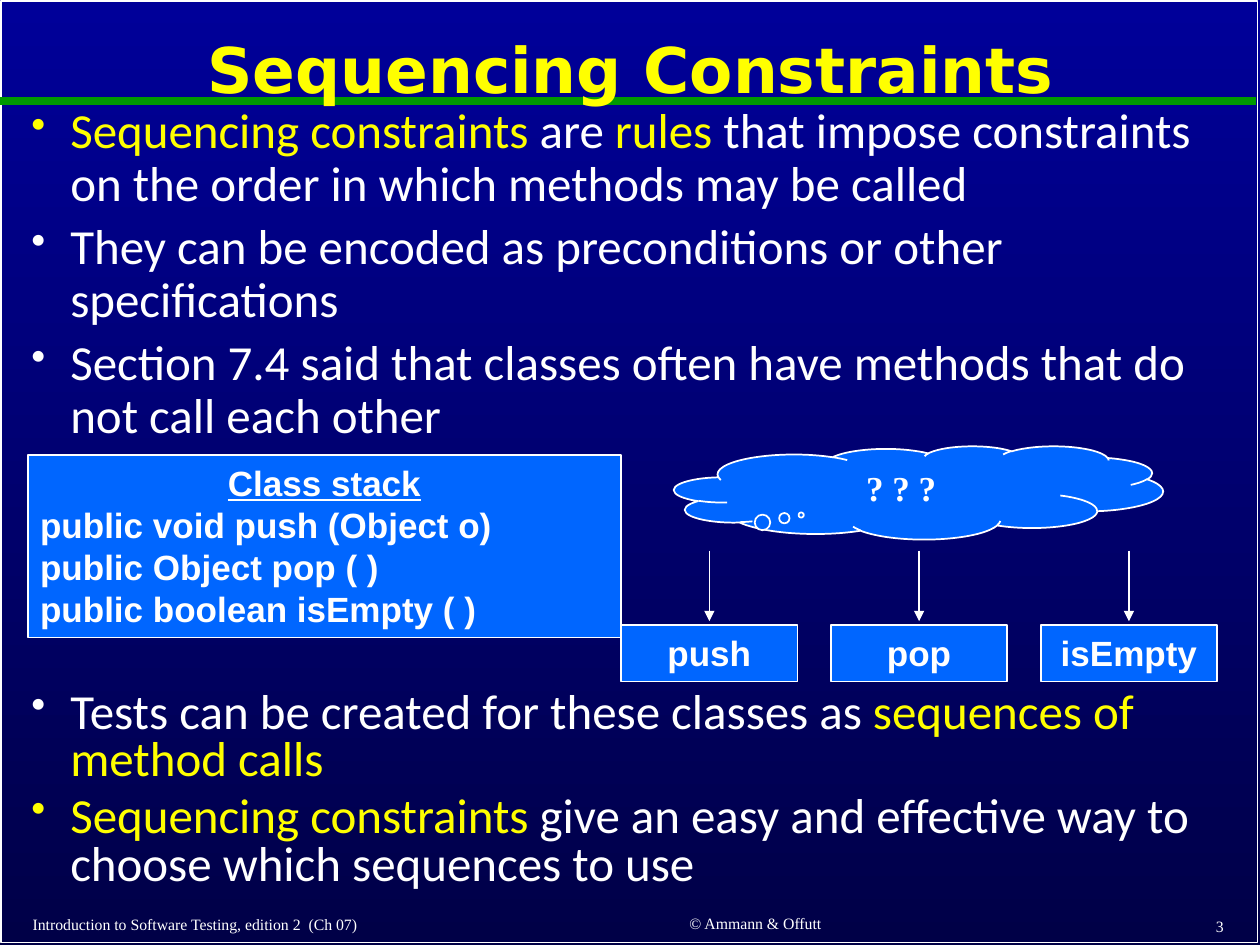
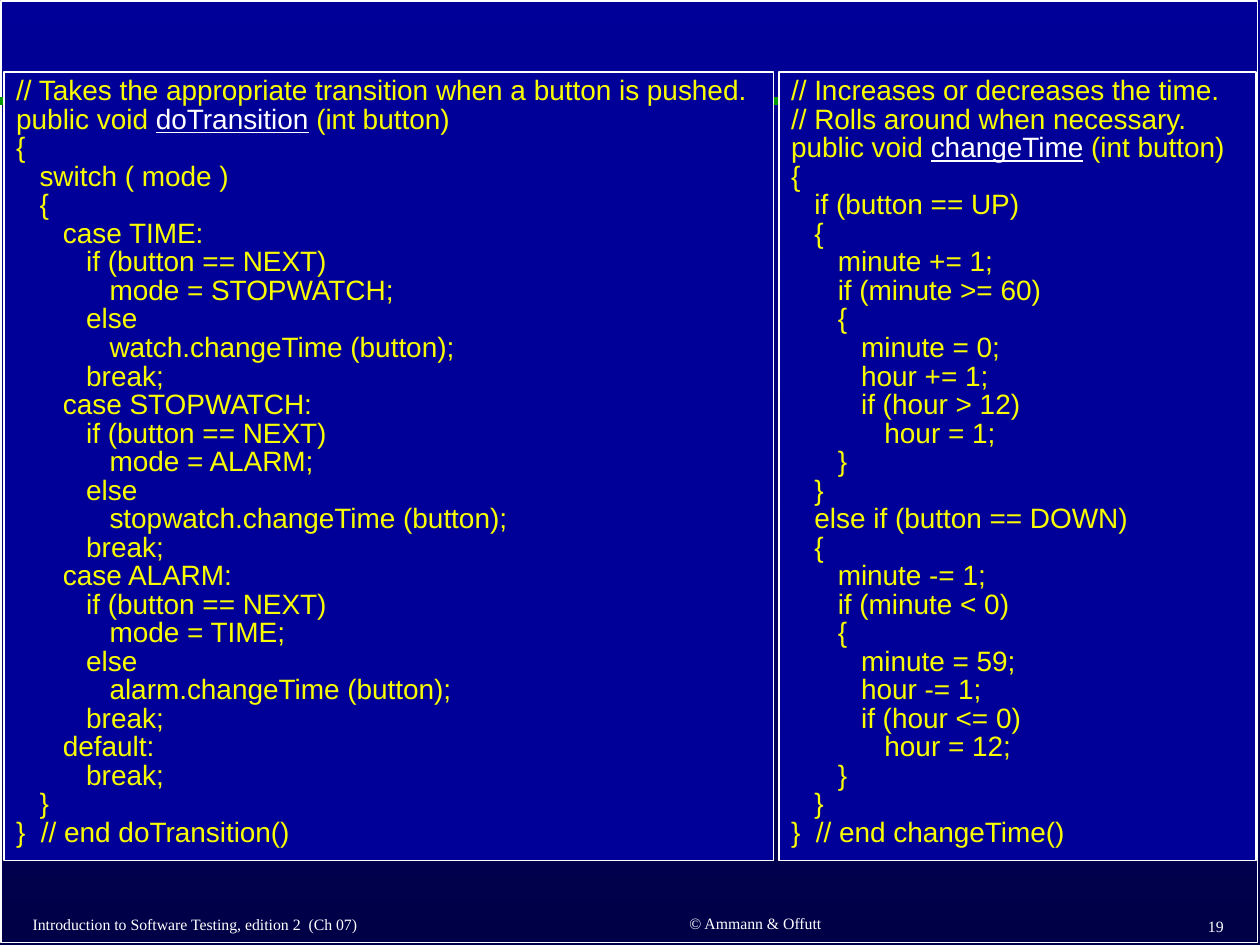
import pptx
import pptx.dml.color
import pptx.enum.shapes
import pptx.enum.text
import pptx.oxml
import pptx.oxml.ns
import pptx.util
from lxml import etree

RGBColor = pptx.dml.color.RGBColor
Shape = pptx.enum.shapes.MSO_SHAPE
Align = pptx.enum.text.PP_ALIGN
Anchor = pptx.enum.text.MSO_ANCHOR
Pt = pptx.util.Pt
qn = pptx.oxml.ns.qn

WHITE = RGBColor(0xFF, 0xFF, 0xFF)
YELLOW = RGBColor(0xFF, 0xFF, 0x00)
CODE_YELLOW = RGBColor(0xFA, 0xFD, 0x00)
GREEN = RGBColor(0x00, 0x99, 0x00)
BRIGHT_BLUE = RGBColor(0x00, 0x66, 0xFF)
NAVY = RGBColor(0x00, 0x00, 0x99)
DEEP_NAVY = RGBColor(0x00, 0x00, 0x47)

UNIT = pptx.util.Inches(0.1)  # the grid has 100 columns and 75 rows
COLUMNS, ROWS = 100, 75
BULLET_INDENT = pptx.util.Inches(0.31)
CODE_INDENT = Pt(13.34)  # one nesting level of code
CODE_STEP = 3            # spaces per nesting level in the listings below

TRANSITION_CODE = """\
// Takes the appropriate transition when a button is pushed.
public void *doTransition* (int button)
{
   switch ( mode )
   {
      case TIME:
         if (button == NEXT)
            mode = STOPWATCH;
         else
            watch.changeTime (button);
         break;
      case STOPWATCH:
         if (button == NEXT)
            mode = ALARM;
         else
            stopwatch.changeTime (button);
         break;
      case ALARM:
         if (button == NEXT)
            mode = TIME;
         else
            alarm.changeTime (button);
         break;
      default:
         break;
   }
}  // end doTransition()"""

CHANGE_TIME_CODE = """\
// Increases or decreases the time.
// Rolls around when necessary.
public void *changeTime* (int button)
{
   if (button == UP)
   {
      minute += 1;
      if (minute >= 60)
      {
         minute = 0;
         hour += 1;
         if (hour > 12)
            hour = 1;
      }
   }
   else if (button == DOWN)
   {
      minute -= 1;
      if (minute < 0)
      {
         minute = 59;
         hour -= 1;
         if (hour <= 0)
            hour = 12;
      }
   }
}  // end changeTime()"""


def grid(*lengths):
    return [round(length * UNIT) for length in lengths]


class Deck:
    """Holds the shared style and the page being drawn."""

    def __init__(self):
        self.presentation = pptx.Presentation()
        self.presentation.slide_width, self.presentation.slide_height = grid(COLUMNS, ROWS)
        self.page = None

    def new_page(self, number):
        self.page = self.presentation.slides.add_slide(self.presentation.slide_layouts[6])
        fill = self.page.background.fill
        fill.gradient()
        fill.gradient_angle = 270
        for stop, color, position in zip(fill.gradient_stops, (NAVY, DEEP_NAVY), (0, 1)):
            stop.color.rgb = color
            stop.position = position
        self.shape((0.1, 0.1, 99.7, 74.7))
        self.line((0, 8), (99.7, 8), GREEN, 4.5)
        for place, words, align in (
            ((1.6, 72.2, 40.9, 2.3), "Introduction to Software Testing, edition 2  (Ch 07)", Align.LEFT),
            ((44.1, 72.1, 31.7, 2.3), "© Ammann & Offutt", Align.CENTER),
            ((77.3, 72.3, 20.8, 2.4), str(number), Align.RIGHT),
        ):
            self.label(place, words, "Times New Roman", 9, WHITE, align)

    def shape(self, place, fill=None, kind=Shape.RECTANGLE):
        box = self.page.shapes.add_shape(kind, *grid(*place))
        box.shadow.inherit = False
        if fill is None:
            box.fill.background()
        else:
            box.fill.solid()
            box.fill.fore_color.rgb = fill
        box.line.color.rgb = WHITE
        box.line.width = Pt(1)
        box.text_frame.vertical_anchor = Anchor.TOP
        return box

    def line(self, start, end, color=WHITE, width=1, arrow=False):
        connector = self.page.shapes.add_connector(
            pptx.enum.shapes.MSO_CONNECTOR.STRAIGHT, *grid(*start, *end))
        connector.line.color.rgb = color
        connector.line.width = Pt(width)
        properties = connector.element.spPr
        if arrow:
            etree.SubElement(properties.find(qn("a:ln")), qn("a:tailEnd"), type="triangle")
        etree.SubElement(properties, qn("a:effectLst"))

    def text_box(self, place):
        box = self.page.shapes.add_textbox(*grid(*place))
        box.text_frame.word_wrap = True
        return box

    def set_lines(self, box, lines, font, size, color, accent=None, align=Align.LEFT, bold=False):
        """Fill the box with one paragraph per line; *starred* words take the accent colour."""
        frame = box.text_frame
        frame.text = "\n".join(line.replace("*", "") for line in lines)
        for para, line in zip(frame.paragraphs, lines):
            para.alignment = align
            pieces = line.split("*")
            if len(pieces) > 1:
                para.clear()
                for piece in pieces:
                    para.add_run().text = piece
            for index, span in enumerate(para.runs):
                span.font.name = font
                span.font.size = Pt(size)
                span.font.bold = bold
                span.font.color.rgb = accent if index % 2 else color
            for span in para.runs:
                if not span.text:
                    para._p.remove(span._r)
        return frame.paragraphs

    def label(self, place, words, font, size, color, align=Align.CENTER, bold=False):
        box = self.text_box(place)
        box.text_frame.vertical_anchor = Anchor.MIDDLE
        return self.set_lines(box, [words], font, size, color, align=align, bold=bold)[0]

    def title(self, words):
        para = self.label((1.5, 1.1, 97.1, 9.4), words, "DejaVu Sans", 36, YELLOW, bold=True)
        para.line_spacing = 0.9

    def bullets(self, place, lines, spacing):
        for para in self.set_lines(self.text_box(place), lines, "Calibri", 28, WHITE, YELLOW):
            para.line_spacing = spacing
            para.space_before = Pt(6)
            properties = para._p.get_or_add_pPr()
            properties.set("marL", str(BULLET_INDENT))
            properties.set("indent", str(-BULLET_INDENT))
            etree.SubElement(properties, qn("a:buSzPct"), val="85000")
            etree.SubElement(properties, qn("a:buChar"), char="•")

    def block(self, place, lines, align=Align.CENTER, font="Arial", kind=Shape.RECTANGLE):
        box = self.shape(place, BRIGHT_BLUE, kind)
        paras = self.set_lines(box, lines, font, 20, WHITE, align=align, bold=True)
        return box, paras

    def code(self, place, listing):
        """Draw a listing whose leading spaces become paragraph indents."""
        lines = listing.splitlines()
        stripped = [line.lstrip() for line in lines]
        paras = self.set_lines(self.shape(place, NAVY), stripped, "Arial", 16, CODE_YELLOW, WHITE)
        for para, line, bare in zip(paras, lines, stripped):
            para.line_spacing = 0.85
            level = (len(line) - len(bare)) // CODE_STEP
            para._p.get_or_add_pPr().set("marL", str(level * CODE_INDENT))
            for span in para.runs:
                span.font.underline = span.font.color.rgb == WHITE


def draw_constraints(deck):
    deck.new_page(3)
    deck.title("Sequencing Constraints")
    deck.bullets((1.5, 7.9, 97, 27.7), [
        "*Sequencing constraints* are *rules* that impose constraints on the order "
        "in which methods may be called",
        "They can be encoded as preconditions or other specifications",
        "Section 7.4 said that classes often have methods that do not call each other",
    ], 0.9)

    _, stack_lines = deck.block((2.2, 36.1, 47.1, 14.5), [
        "Class stack",
        "public void push (Object o)",
        "public Object pop ( )",
        "public boolean isEmpty ( )",
    ], Align.LEFT)
    stack_lines[0].alignment = Align.CENTER
    stack_lines[0].runs[0].font.underline = True

    method_width, method_step = 14, 16.65
    for index, method in enumerate(("push", "pop", "isEmpty")):
        left = 49.3 + index * method_step
        middle = left + method_width / 2
        deck.block((left, 49.6, method_width, 4.5), [method])
        deck.line((middle, 43.7), (middle, 49.3), arrow=True)

    cloud, _ = deck.block((53.5, 35.4, 38.8, 7.4), ["? ? ?"],
                          font="Times New Roman", kind=Shape.CLOUD_CALLOUT)
    cloud.adjustments[0], cloud.adjustments[1] = -0.24, 0.24

    deck.bullets((1.5, 54.4, 97, 15.6), [
        "Tests can be created for these classes as *sequences of method calls*",
        "*Sequencing constraints* give an easy and effective way to choose "
        "which sequences to use",
    ], 0.8)


def draw_code(deck):
    deck.new_page(19)
    deck.code((0.3, 5.7, 61.1, 62.6), TRANSITION_CODE)
    deck.code((61.8, 5.7, 37.9, 62.6), CHANGE_TIME_CODE)


def main():
    deck = Deck()
    draw_constraints(deck)
    draw_code(deck)
    deck.presentation.save("out.pptx")


if __name__ == "__main__":
    main()
